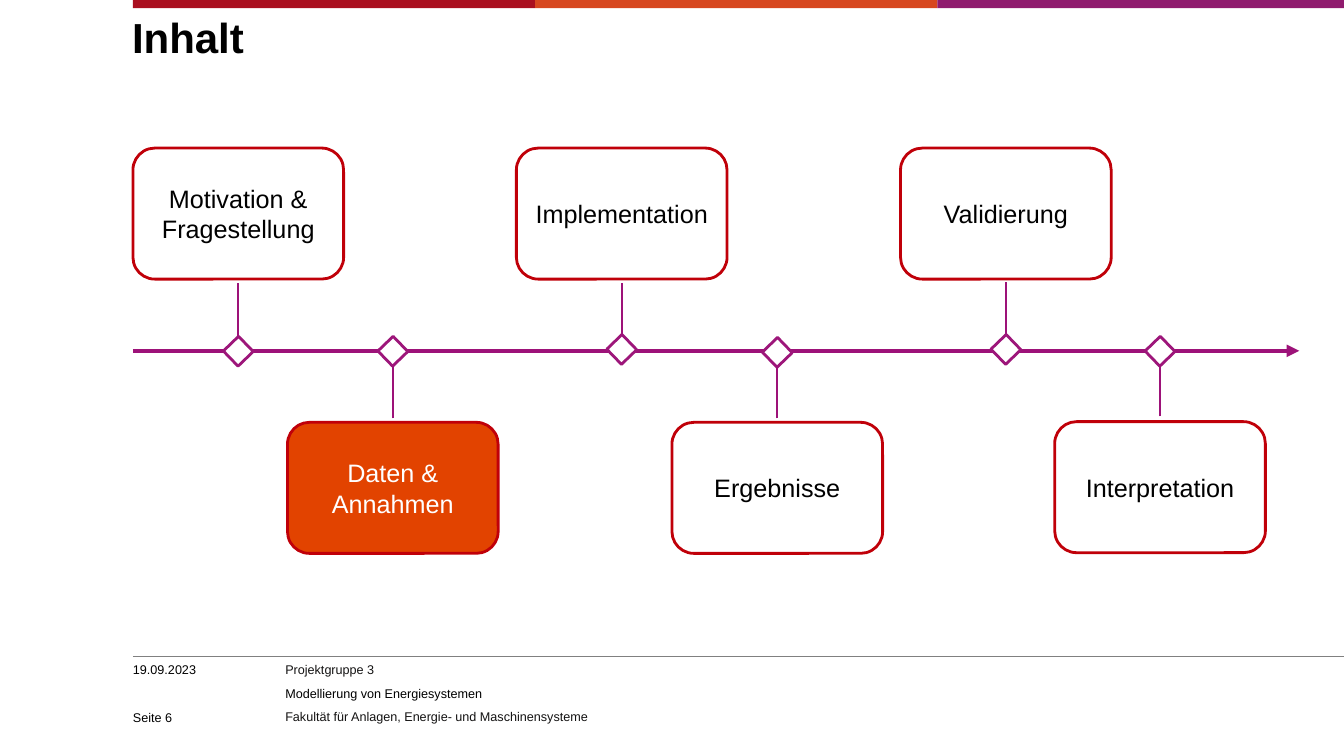
from lxml.etree import SubElement
from pptx import Presentation
from pptx.dml.color import RGBColor
from pptx.enum.shapes import MSO_CONNECTOR, MSO_SHAPE
from pptx.enum.text import MSO_ANCHOR, MSO_AUTO_SIZE, PP_ALIGN
from pptx.oxml.ns import qn
from pptx.util import Pt

COLORS = {
    "black": "000000", "ink": "141313", "white": "FFFFFF", "gray": "808080",
    "red": "AA0F1F", "orange": "D7471F", "plum": "901B6E",
    "border": "C00009", "active": "E24300", "axis": "9D1279", "marker": "9D167A",
}
LEFT = 95
AXIS_Y = 250.6
BOX_WIDTH, BOX_HEIGHT = 150.5, 93.6
MARKER_SIZE = 15.1
STEM_LENGTH = 37.6
STATIONS = [
    ("Motivation & Fragestellung", 170.2, 105.8, 250.9, 202.3),
    ("Daten & Annahmen", 280.6, 301.7, 250.9, 261.3),
    ("Implementation", 444.1, 105.8, 249.6, 202.3),
    ("Ergebnisse", 555.2, 301.7, 251.7, 261.3),
    ("Validierung", 718.5, 105.8, 249.6, 201.1),
    ("Interpretation", 828.6, 301.2, 250.9, 259.8),
]
ACTIVE = "Daten & Annahmen"


def color(name):
    """Return the named colour."""
    return RGBColor.from_string(COLORS[name])


def apply(target, values):
    """Set every attribute in the dict on the target."""
    for name, value in values.items():
        setattr(target, name, value)


class SlidePainter:
    """Holds the text style and the current slide."""

    font = "Arial"

    def __init__(self, slide):
        """Keep the slide to draw on."""
        self.slide = slide

    def fill_text(self, frame, lines, size, bold=False, frame_format=None, para_format=None):
        """Fill a text frame with one paragraph per (text, colour) pair."""
        margins = dict.fromkeys(
            ["margin_left", "margin_top", "margin_right", "margin_bottom"], 0)
        apply(frame, {"auto_size": MSO_AUTO_SIZE.NONE, **margins, **(frame_format or {})})
        for index, (text, ink) in enumerate(lines):
            para = frame.add_paragraph() if index else frame.paragraphs[0]
            apply(para, {"alignment": PP_ALIGN.LEFT, **(para_format or {})})
            span = para.add_run()
            span.text = text
            apply(span.font, {"name": self.font, "size": Pt(size), "bold": bold})
            span.font.color.rgb = color(ink)

    def title(self, text, left, top, width, height):
        """Place and fill the title placeholder."""
        holder = self.slide.shapes.title
        apply(holder, {"left": Pt(left), "top": Pt(top),
                       "width": Pt(width), "height": Pt(height)})
        self.fill_text(holder.text_frame, [(text, "black")], 30, True,
                       {"vertical_anchor": MSO_ANCHOR.TOP, "word_wrap": True},
                       {"line_spacing": Pt(30)})

    def text(self, lines, left, top, width, height, **formats):
        """Add a small text box."""
        box = self.slide.shapes.add_textbox(Pt(left), Pt(top), Pt(width), Pt(height))
        self.fill_text(box.text_frame, lines, 9, **formats)

    def shape(self, kind, left, top, width, height, fill, line=None, rotation=0):
        """Add a filled shape with an optional outline."""
        shape = self.slide.shapes.add_shape(kind, Pt(left), Pt(top), Pt(width), Pt(height))
        shape.shadow.inherit = False
        shape.rotation = rotation
        shape.fill.solid()
        shape.fill.fore_color.rgb = color(fill)
        if line:
            shape.line.color.rgb = color(line)
            shape.line.width = Pt(2)
        else:
            shape.line.fill.background()
        return shape

    def station(self, text, center, top):
        """Add a rounded chapter box, highlighted when it is the active one."""
        fill, ink = ("active", "white") if text == ACTIVE else ("white", "black")
        box = self.shape(MSO_SHAPE.ROUNDED_RECTANGLE, center - BOX_WIDTH / 2, top,
                         BOX_WIDTH, BOX_HEIGHT, fill, "border")
        self.fill_text(box.text_frame, [(text, ink)], 18,
                       frame_format={"vertical_anchor": MSO_ANCHOR.MIDDLE, "word_wrap": True,
                                     "margin_left": Pt(7.2), "margin_right": Pt(7.2)},
                       para_format={"alignment": PP_ALIGN.CENTER})

    def marker(self, center, middle):
        """Add a turned square on the axis."""
        half = MARKER_SIZE / 2
        self.shape(MSO_SHAPE.RECTANGLE, center - half, middle - half,
                   MARKER_SIZE, MARKER_SIZE, "white", "marker", 46)

    def line(self, start, end, ink, width, arrow=False):
        """Add a straight line with an optional arrowhead."""
        line = self.slide.shapes.add_connector(
            MSO_CONNECTOR.STRAIGHT, *(Pt(value) for value in (*start, *end)))
        line.line.color.rgb = color(ink)
        line.line.width = Pt(width)
        properties = line._element.spPr
        if arrow:
            SubElement(properties.find(qn("a:ln")), qn("a:tailEnd"), type="triangle")
        SubElement(properties, qn("a:effectLst"))


def main():
    """Build the agenda slide and save it."""
    deck = Presentation()
    apply(deck, {"slide_width": Pt(960), "slide_height": Pt(540)})
    page = SlidePainter(deck.slides.add_slide(deck.slide_layouts[5]))

    edges = [LEFT, 382.3, 669.6, 960]
    for start, end, fill in zip(edges, edges[1:], ["red", "orange", "plum"]):
        page.shape(MSO_SHAPE.RECTANGLE, start, 0, end - start, 5.8, fill)
    page.title("Inhalt", 94.3, 14.4, 850.3, 31.7)

    page.line((LEFT, 468.7), (960, 468.7), "gray", 0.5)
    page.text([("Projektgruppe 3", "ink"),
               ("Modellierung von Energiesystemen", "black"),
               ("Fakultät für Anlagen, Energie- und Maschinensysteme", "ink")],
              203.8, 473, 465.1, 48.2,
              frame_format={"word_wrap": False}, para_format={"space_after": Pt(6)})
    page.text([("19.09.2023", "black")], LEFT, 473, 102.2, 14.4,
              frame_format={"word_wrap": False})
    page.text([("Seite 6", "black")], LEFT, 501.1, 102.2, 16.6,
              frame_format={"word_wrap": True, "vertical_anchor": MSO_ANCHOR.BOTTOM})

    page.line((LEFT, AXIS_Y), (928.1, AXIS_Y), "axis", 3, arrow=True)
    for text, center, top, middle, stem_top in STATIONS:
        page.station(text, center, top)
        page.marker(center, middle)
        page.line((center, stem_top + STEM_LENGTH), (center, stem_top), "axis", 1.5)

    deck.save("out.pptx")


if __name__ == "__main__":
    main()
